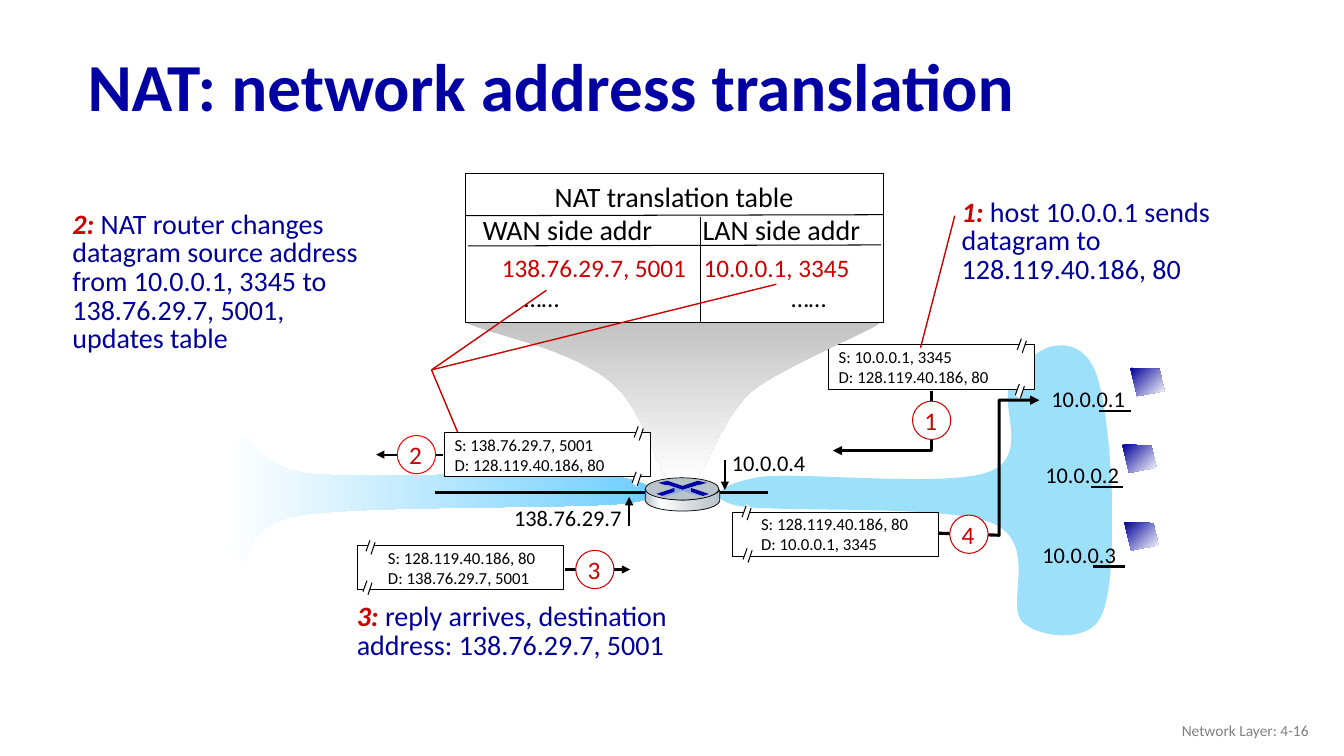
import copy

import pptx
import pptx.dml.color
import pptx.enum.shapes
import pptx.enum.text
import pptx.oxml
import pptx.oxml.ns
import pptx.util

Inches = pptx.util.Inches
Pt = pptx.util.Pt
qn = pptx.oxml.ns.qn
ALIGN = pptx.enum.text.PP_ALIGN
ANCHOR = pptx.enum.text.MSO_ANCHOR
SHAPE = pptx.enum.shapes.MSO_SHAPE

BLACK, WHITE, RED, NAVY, TITLE_BLUE = "000000", "FFFFFF", "CC0000", "000099", "0000A3"
STEEL = "B8C2C9"


def color(value):
    return pptx.dml.color.RGBColor.from_string(value)


def element(tag, **attributes):
    """Make an empty drawing element."""
    node = pptx.oxml.parse_xml(f'<a:{tag} {pptx.oxml.ns.nsdecls("a")}/>')
    for name, value in attributes.items():
        node.set(name, str(value))
    return node


class NatSlide:
    font = "Calibri"

    def __init__(self, page):
        self.page = page

    def style(self, span, size, ink, bold=False, italic=False):
        span.font.name, span.font.size = self.font, Pt(size)
        span.font.bold, span.font.italic = bold, italic
        span.font.color.rgb = color(ink)

    def paint(self, shape, fill=None, line=None, width=0.75, angle=0):
        """Fill with one colour, or with a list of (percent, colour) stops."""
        shape.shadow.inherit = False
        if fill is None:
            shape.fill.background()
        elif isinstance(fill, str):
            shape.fill.solid()
            shape.fill.fore_color.rgb = color(fill)
        else:
            shape.fill.gradient()
            shape.fill.gradient_angle = (360 - angle) % 360
            stop_list = shape._element.spPr.find(qn("a:gradFill")).find(qn("a:gsLst"))
            while len(stop_list) < len(fill):
                stop_list.append(copy.deepcopy(stop_list[0]))
            for stop, (percent, ink) in zip(shape.fill.gradient_stops, fill):
                stop.position, stop.color.rgb = percent / 100, color(ink)
        if line:
            shape.line.color.rgb, shape.line.width = color(line), Pt(width)
        else:
            shape.line.fill.background()

    def arrowhead(self, shape):
        shape.line._get_or_add_ln().append(element("tailEnd", type="triangle"))

    def text(self, place, lines, size, ink=BLACK, wrap=True, bold=False, align=ALIGN.LEFT,
             anchor=ANCHOR.TOP, spacing=None):
        box = self.page.shapes.add_textbox(*map(Inches, place))
        frame = box.text_frame
        frame.text = "\n".join(lines)
        frame.word_wrap, frame.vertical_anchor = wrap, anchor
        for para in frame.paragraphs:
            para.alignment, para.line_spacing = align, spacing
            for span in para.runs:
                self.style(span, size, ink, bold)
        return box.text_frame.paragraphs

    def tabs(self, para, *stops):
        tab_list = element("tabLst")
        for stop in stops:
            tab_list.append(element("tab", pos=Inches(stop), algn="l"))
        para._p.get_or_add_pPr().append(tab_list)

    def note(self, place, number, lines):
        """Blue explanation that opens with a red step number."""
        para = self.text(place, [f"{number}: "] + lines[1:], 20, NAVY, spacing=0.85)[0]
        self.style(para.runs[0], 20, RED, bold=True, italic=True)
        span = para.add_run()
        span.text = lines[0]
        self.style(span, 20, NAVY)

    def preset(self, kind, place, fill, line, width=0.75):
        shape = self.page.shapes.add_shape(kind, *map(Inches, place))
        self.paint(shape, fill, line, width)
        return shape

    def outline(self, segments, fill=None, line=None, width=0.75, angle=0, close=True):
        """Draw points (two numbers) and Bezier curves (six numbers) as one shape."""
        corners = [(Inches(segment[i]), Inches(segment[i + 1]))
                   for segment in segments for i in range(0, len(segment), 2)]
        builder = self.page.shapes.build_freeform(*corners[0], scale=1.0)
        builder.add_line_segments(corners[1:], close=close)
        shape = builder.convert_to_shape()
        track = next(shape._element.iter(qn("a:path")))
        steps = iter(list(track)[1:])
        for segment in segments[1:]:
            pieces = [next(steps) for _ in range(len(segment) // 2)]
            if len(pieces) == 3:
                curve = element("cubicBezTo")
                pieces[0].addprevious(curve)
                for piece in pieces:
                    curve.append(piece[0])
                    track.remove(piece)
        self.paint(shape, fill, line, width, angle)
        return shape

    def line(self, x1, y1, x2, y2, ink=BLACK, width=0.75, arrow=False):
        straight = pptx.enum.shapes.MSO_CONNECTOR.STRAIGHT
        link = self.page.shapes.add_connector(straight, *map(Inches, (x1, y1, x2, y2)))
        link.line.color.rgb, link.line.width = color(ink), Pt(width)
        link._element.spPr.append(element("effectLst"))
        if arrow:
            self.arrowhead(link)

    def route(self, points):
        self.arrowhead(self.outline(points, line=BLACK, width=2.25, close=False))

    def badge(self, left, top, number, line=RED):
        self.preset(SHAPE.OVAL, (left, top, 0.38, 0.38), WHITE, line)
        self.text((left + 0.02, top - 0.01, 0.34, 0.4), [number], 18, RED, wrap=False)

    def packet(self, left, top, source, target, indent, cuts):
        """Datagram box with two cut marks, given as offsets from its corner."""
        self.preset(SHAPE.RECTANGLE, (left, top, 2.04, 0.44), WHITE, BLACK)
        self.text((left + indent, top - 0.03, 1.93, 0.5), [f"S: {source}", f"D: {target}"], 12)
        for across, down in cuts:
            x, y = left + across, top + down
            self.outline([(x + 0.04, y), (x, y + 0.13), (x + 0.05, y + 0.17), (x + 0.09, y + 0.04)], WHITE)
            self.line(x + 0.04, y + 0.02, x, y + 0.13)
            self.line(x + 0.09, y + 0.04, x + 0.05, y + 0.16)


def draw_translation_table(slide, public, private):
    slide.preset(SHAPE.RECTANGLE, (4.62, 1.72, 4.14, 1.48), WHITE, BLACK)
    title, header = slide.text((4.69, 1.73, 3.99, 0.77),
                               ["NAT translation table", "WAN side addr\tLAN side addr"], 20)
    title.alignment = ALIGN.CENTER
    slide.tabs(header, 2.18)
    slide.line(4.62, 2.14, 8.77, 2.13)
    slide.line(4.64, 2.44, 8.74, 2.43)
    slide.line(6.95, 2.15, 6.95, 3.2)
    addresses, dots = slide.text((4.88, 2.45, 3.68, 0.71), [f"{public}\t{private}", "\t……\t……"], 18, RED)
    slide.tabs(addresses, 2)
    slide.tabs(dots, 0.22, 2.87)
    slide.style(dots.runs[0], 18, BLACK)


def draw_router(slide):
    slide.line(4.31, 4.89, 7.62, 4.89, width=2)
    slide.outline([(7.14, 4.86), (7.14, 4.97), (7.11, 5.05, 6.9, 5.07, 6.77, 5.07),
                   (6.65, 5.07, 6.43, 5.05, 6.4, 4.97), (6.4, 4.94, 6.4, 4.88, 6.4, 4.85),
                   (6.44, 4.92, 6.65, 4.96, 6.77, 4.96), (6.89, 4.96, 7.1, 4.93, 7.14, 4.86)],
                  [(0, STEEL), (21, WHITE), (60, "D6DCE0"), (100, STEEL)], BLACK, 0.5)
    slide.preset(SHAPE.OVAL, (6.4, 4.74, 0.73, 0.22), STEEL, BLACK, 0.5)
    slide.outline([(6.92, 4.77), (7.01, 4.79), (6.94, 4.81), (6.93, 4.81), (6.77, 4.86), (6.62, 4.81),
                   (6.59, 4.81), (6.53, 4.79), (6.62, 4.77), (6.77, 4.82)], TITLE_BLUE)
    slide.outline([(6.85, 4.84), (7.03, 4.9), (6.97, 4.92), (6.85, 4.88)], TITLE_BLUE)
    slide.outline([(6.69, 4.84), (6.69, 4.88), (6.57, 4.92), (6.51, 4.9)], "0000A8")
    slide.outline([(6.59, 4.81), (6.62, 4.81), (6.77, 4.86), (6.93, 4.81), (6.95, 4.81), (6.85, 4.84),
                   (6.85, 4.88), (6.96, 4.92), (6.93, 4.92), (6.77, 4.87), (6.6, 4.93), (6.57, 4.92),
                   (6.69, 4.88), (6.69, 4.84)], "8FAADC")


def main():
    deck = pptx.Presentation()
    deck.slide_width, deck.slide_height = Inches(13.33), Inches(7.5)
    slide = NatSlide(deck.slides.add_slide(deck.slide_layouts[6]))
    server, public, private = "128.119.40.186, 80", "138.76.29.7, 5001", "10.0.0.1, 3345"

    slide.text((0.77, 0.31, 11.5, 1.17), ["NAT: network address translation"], 48, TITLE_BLUE,
               bold=True, anchor=ANCHOR.MIDDLE, spacing=0.9)
    slide.outline([(5.98, 4.71), (5.45, 4.66, 3.68, 4.76, 3.08, 4.7), (2.48, 4.64, 2.49, 4.21, 2.37, 4.35),
                   (2.25, 4.5, 2.27, 5.44, 2.37, 5.57), (2.47, 5.69, 2.35, 5.21, 2.99, 5.11),
                   (3.63, 5.01, 5.73, 5.05, 6.23, 4.99), (6.73, 4.92, 6.41, 4.76, 5.98, 4.71)],
                  [(0, WHITE), (100, "66CCFF")])
    slide.outline([(7.55, 4.73), (7.96, 4.68, 9.4, 4.84, 9.81, 4.68), (10.22, 4.53, 9.91, 4.02, 10.02, 3.81),
                   (10.13, 3.6, 10.33, 3.44, 10.47, 3.43), (10.61, 3.41, 10.79, 3.46, 10.88, 3.73),
                   (10.97, 4, 11.03, 4.64, 11.03, 5.05), (11.03, 5.46, 11.03, 5.99, 10.88, 6.18),
                   (10.73, 6.36, 10.31, 6.33, 10.14, 6.17), (9.97, 6, 10.31, 5.38, 9.84, 5.19),
                   (9.38, 5, 7.71, 5.09, 7.33, 5.02), (6.95, 4.94, 7.17, 4.79, 7.55, 4.73)], "9CE0FA")

    slide.packet(8.22, 3.42, private, server, 0, [(1.87, -0.08), (1.85, 0.37)])
    slide.route([(9.24, 3.88), (9.24, 4.47), (8.26, 4.47)])
    slide.badge(9.05, 3.98, "1")
    slide.text((7.16, 4.41, 0.94, 0.37), ["10.0.0.4"], 16, wrap=False)
    slide.text((5, 4.95, 1.28, 0.37), ["138.76.29.7"], 16, wrap=False)
    slide.note((9.44, 1.93, 3.36, 0.96), 1, ["host 10.0.0.1 sends datagram to 128.119.40.186, 80"])
    slide.line(9.47, 2.14, 9.13, 3.45, RED, 1)

    slide.outline([(4.62, 3.2), (4.62, 3.2, 8.23, 3.09, 8.71, 3.2), (8.85, 3.19, 7.77, 3.63, 7.47, 3.87),
                   (7.17, 4.12, 7.02, 4.63, 6.89, 4.77), (6.63, 4.77), (6.49, 4.6, 6.38, 4.04, 6.05, 3.78),
                   (5.63, 3.45, 4.95, 3.34, 4.62, 3.2)], [(0, "BFBFBF"), (100, WHITE)], angle=90)
    draw_translation_table(slide, public, private)

    slide.packet(7.27, 5.08, server, private, 0.18, [(0.09, -0.08), (0.1, 0.34)])
    slide.route([(9.31, 5.29), (9.91, 5.31), (9.91, 3.97), (10.31, 3.97)])
    slide.badge(9.42, 5.11, "4")
    slide.packet(4.41, 4.29, public, server, 0, [(1.88, -0.08), (1.86, 0.37)])
    slide.line(4.39, 4.51, 3.73, 4.51, width=1.5, arrow=True)
    slide.badge(3.94, 4.32, "2", "FF0000")
    slide.note((0.62, 2.05, 3.45, 1.53), 2, [
        "NAT router changes datagram source address from 10.0.0.1, 3345 to 138.76.29.7, 5001,",
        "updates table"])
    for x, y in ((4.54, 4.29), (5.42, 2.88), (7.7, 2.82)):
        slide.line(4.28, 3.67, x, y, RED, 1)
    slide.packet(3.55, 5.41, server, public, 0.2, [(0.08, -0.07), (0.05, 0.33)])
    slide.line(5.6, 5.65, 6.25, 5.65, width=1.5, arrow=True)
    slide.badge(5.71, 5.46, "3")
    slide.note((3.44, 5.94, 3.89, 0.68), 3, ["reply arrives, destination address: 138.76.29.7, 5001"])

    hosts = [("10.0.0.1", 10.33, 3.77, 11.21, 3.65, 10.9, 4.08),
             ("10.0.0.2", 10.27, 4.53, 11.13, 4.41, 10.82, 4.83),
             ("10.0.0.3", 10.24, 5.32, 11.15, 5.18, 10.84, 5.62)]
    for address, label_x, label_y, x, y, wire_x, wire_y in hosts:
        slide.text((label_x, label_y, 0.94, 0.37), [address], 16, wrap=False)
        slide.outline([(x, y), (x + 0.29, y + 0.01), (x + 0.34, y + 0.23), (x + 0.07, y + 0.28)],
                      [(0, NAVY), (100, WHITE)], angle=45)
        slide.line(wire_x, wire_y, wire_x + 0.32, wire_y, width=1.5)

    draw_router(slide)
    slide.line(6.24, 5.22, 6.24, 4.93, width=1.5, arrow=True)
    slide.line(7.19, 4.56, 7.19, 4.86, width=1.5, arrow=True)
    slide.text((10.08, 7.05, 3, 0.4), ["Network Layer: 4-16"], 11, "808080",
               align=ALIGN.RIGHT, anchor=ANCHOR.MIDDLE)
    deck.save("out.pptx")


if __name__ == "__main__":
    main()
